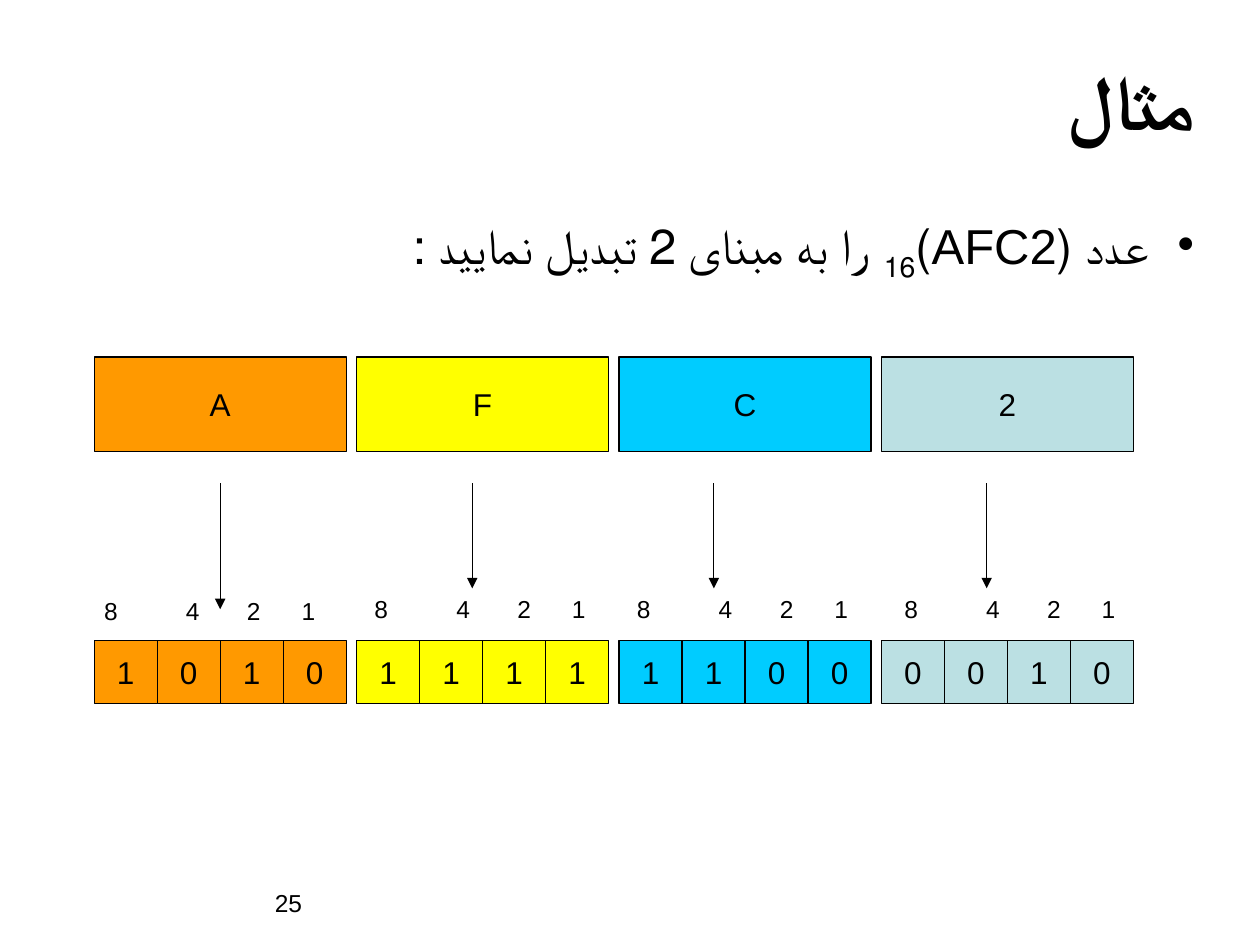
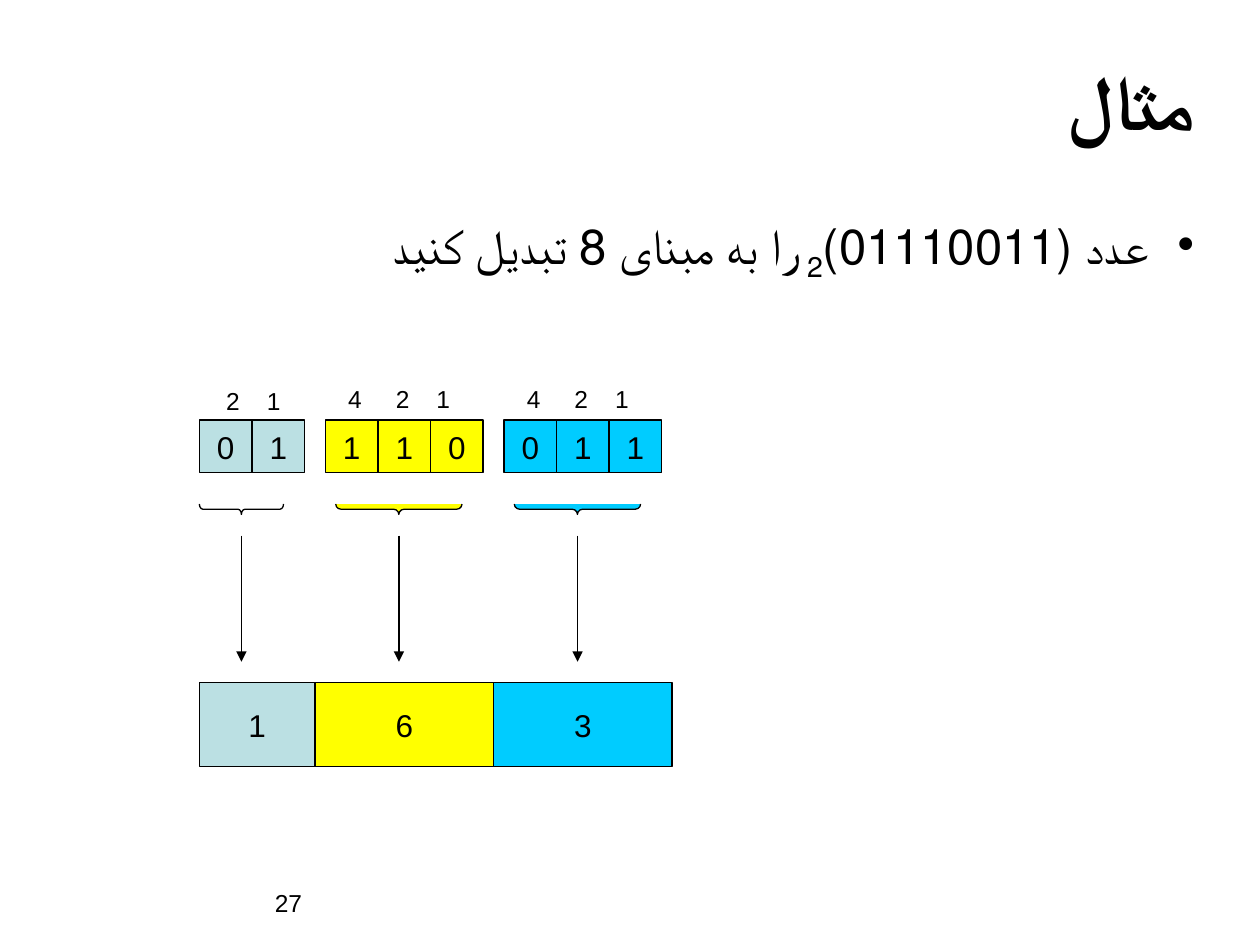
from dataclasses import dataclass

from lxml import etree
from pptx import Presentation
from pptx.dml.color import RGBColor
from pptx.enum.shapes import MSO_CONNECTOR, MSO_SHAPE
from pptx.enum.text import MSO_ANCHOR, PP_ALIGN
from pptx.oxml.ns import qn
from pptx.util import Cm, Pt

RECTANGLE, BRACE = MSO_SHAPE.RECTANGLE, MSO_SHAPE.LEFT_BRACE
STRAIGHT = MSO_CONNECTOR.STRAIGHT
TOP, MIDDLE = MSO_ANCHOR.TOP, MSO_ANCHOR.MIDDLE
LEFT, CENTER, RIGHT = PP_ALIGN.LEFT, PP_ALIGN.CENTER, PP_ALIGN.RIGHT


@dataclass(frozen=True)
class Theme:
    font: str = "Arial"
    ink: RGBColor = RGBColor(0, 0, 0)
    orange: RGBColor = RGBColor(0xFF, 0x99, 0x00)
    yellow: RGBColor = RGBColor(0xFF, 0xFF, 0x00)
    cyan: RGBColor = RGBColor(0x00, 0xCC, 0xFF)
    pale: RGBColor = RGBColor(0xBB, 0xE0, 0xE3)
    title: int = 44
    body: int = 28
    digit: int = 18
    small: int = 14
    line: float = 0.75


THEME = Theme()


@dataclass(frozen=True)
class Box:
    """A rectangle in centimetres."""
    left: float
    top: float
    width: float
    height: float

    def inner(self, left, top, width, height):
        """A box placed relative to this one."""
        return Box(self.left + left, self.top + top, width, height)

    def emu(self):
        return Cm(self.left), Cm(self.top), Cm(self.width), Cm(self.height)


@dataclass(frozen=True)
class HexDigit:
    symbol: str
    bits: str
    fill: RGBColor
    arrow_left: float
    arrow_length: float
    label_left: float
    label_drop: float = 0


@dataclass(frozen=True)
class OctalDigit:
    symbol: str
    bits: str
    fill: RGBColor
    brace_fill: RGBColor | None
    brace_left: float
    result_width: float
    label_left: float
    label_drop: float = 0


HEX_DIGITS = (
    HexDigit("A", "1010", THEME.orange, 2.54, 2.54, -0.05, 0.03),
    HexDigit("F", "1111", THEME.yellow, 2.33, 2.12, 0.11),
    HexDigit("C", "1100", THEME.cyan, 1.91, 2.12, 0.11),
    HexDigit("2", "0010", THEME.pale, 2.12, 2.12, 0.21),
)
OCTAL_DIGITS = (
    OctalDigit("1", "01", THEME.pale, None, 0, 2.33, 0.29, 0.03),
    OctalDigit("6", "110", THEME.yellow, THEME.yellow, 0.21, 3.6, 0.21),
    OctalDigit("3", "011", THEME.cyan, THEME.cyan, 0.21, 3.6, 0.21),
)
WEIGHT_STOPS = {"8421": (1.65, 2.88, 3.98), "421": (0.96, 1.78), "21": (0.82,)}


def style_paragraph(para, size, align, bold=False):
    para.alignment = align
    para.font.size = Pt(size)
    para.font.bold = bold
    para.font.name = THEME.font
    para.font.color.rgb = THEME.ink


def add_text(page, box, text, size, align=LEFT, anchor=TOP, bold=False):
    frame = page.shapes.add_textbox(*box.emu()).text_frame
    frame.word_wrap = True
    frame.vertical_anchor = anchor
    para = frame.paragraphs[0]
    para.text = text
    style_paragraph(para, size, align, bold)
    return para


def outline(shape, fill):
    shape.shadow.inherit = False
    if fill is None:
        shape.fill.background()
    else:
        shape.fill.solid()
        shape.fill.fore_color.rgb = fill
    shape.line.color.rgb = THEME.ink
    shape.line.width = Pt(THEME.line)


def add_cell(page, box, text, fill):
    cell = page.shapes.add_shape(RECTANGLE, *box.emu())
    outline(cell, fill)
    frame = cell.text_frame
    frame.word_wrap = False
    frame.vertical_anchor = MIDDLE
    frame.text = text
    style_paragraph(frame.paragraphs[0], THEME.digit, CENTER)


def add_bits(page, box, bits, fill):
    side = box.height
    for index, bit in enumerate(bits):
        add_cell(page, box.inner(index * side, 0, side, side), bit, fill)


def add_weights(page, box, weights):
    """Place values such as 8 4 2 1, spread by tab stops."""
    para = add_text(page, box, "\t".join(weights), THEME.small)
    stops = etree.Element(qn("a:tabLst"))
    for stop in WEIGHT_STOPS[weights]:
        etree.SubElement(stops, qn("a:tab"), pos=str(Cm(stop)), algn="l")
    para._p.pPr.find(qn("a:defRPr")).addprevious(stops)


def add_down_arrow(page, left, top, length):
    arrow = page.shapes.add_connector(
        STRAIGHT, Cm(left), Cm(top), Cm(left), Cm(top + length))
    arrow.line.color.rgb = THEME.ink
    arrow.line.width = Pt(THEME.line)
    etree.SubElement(arrow.line._get_or_add_ln(), qn("a:tailEnd"), type="triangle")
    etree.SubElement(arrow._element.spPr, qn("a:effectLst"))


def add_under_brace(page, box, fill):
    """A left brace turned to point down, covering the box."""
    upright = box.inner((box.width - box.height) / 2, (box.height - box.width) / 2,
                        box.height, box.width)
    brace = page.shapes.add_shape(BRACE, *upright.emu())
    brace.rotation = 270
    brace.adjustments[0] = box.width / 24 / box.height
    outline(brace, fill)


def add_title(page, box):
    para = add_text(page, box, "مثال", THEME.title, RIGHT, MIDDLE, bold=True)
    para._p.pPr.set("rtl", "1")


def add_question(page, box, before, base, after):
    """A right-to-left bullet with the number base as a subscript."""
    para = add_text(page, box, before, THEME.body, RIGHT)
    subscript = para.add_run()
    subscript.text = base
    subscript.font._element.set("baseline", "-25000")
    para.add_run().text = after
    para.space_before = Pt(7)
    props = para._p.pPr
    indent = Cm(0.95)
    for name, value in (("marL", indent), ("indent", -indent), ("rtl", 1)):
        props.set(name, str(value))
    bullet = etree.Element(qn("a:buChar"), char="•")
    props.find(qn("a:defRPr")).addprevious(bullet)


def add_page(deck, number, question):
    page = deck.slides.add_slide(deck.slide_layouts[6])
    add_text(page, Box(5.29, 17.78, 3.81, 1.27), number, THEME.small)
    add_title(page, Box(4.87, 0.85, 19.47, 2.33))
    add_question(page, Box(4.87, 4.23, 19.47, 13.55), *question)
    return page


def add_hex_diagram(page, box):
    side, gap = 1.27, 0.21
    for index, digit in enumerate(HEX_DIGITS):
        width = side * len(digit.bits)
        group = box.inner(index * (width + gap), 0, width, box.height)
        add_cell(page, group.inner(0, 0, width, 1.9), digit.symbol, digit.fill)
        add_down_arrow(page, group.left + digit.arrow_left, group.top + 2.54,
                       digit.arrow_length)
        add_weights(page, group.inner(digit.label_left, 4.66 + digit.label_drop,
                                      5.2, 0.86), "8421")
        add_bits(page, group.inner(0, box.height - side, width, side),
                 digit.bits, digit.fill)


def add_octal_diagram(page, box):
    side, gap = 1.06, 0.42
    bits_left = result_left = 0
    for digit in OCTAL_DIGITS:
        count = len(digit.bits)
        width = side * count
        group = box.inner(bits_left, 0, width, box.height)
        add_weights(page, group.inner(digit.label_left, digit.label_drop, width, 0.86),
                    "421"[-count:])
        add_bits(page, group.inner(0, 0.85, width, side), digit.bits, digit.fill)
        brace = group.inner(digit.brace_left, 2.54, 0.8 * width, 0.21)
        add_under_brace(page, brace, digit.brace_fill)
        add_down_arrow(page, brace.left + brace.width / 2, box.top + 3.18, 2.54)
        add_cell(page, box.inner(result_left, 6.14, digit.result_width, 1.69),
                 digit.symbol, digit.fill)
        bits_left += width + gap
        result_left += digit.result_width


def main():
    deck = Presentation()
    deck.slide_width, deck.slide_height = Cm(25.4), Cm(19.05)
    hex_page = add_page(deck, "25", ("عدد (AFC2)", "16 ", " را به مبنای 2 تبدیل نمایید :"))
    add_hex_diagram(hex_page, Box(1.9, 7.2, 21.17, 6.98))
    octal_page = add_page(deck, "27", ("عدد (01110011)", "2", " را به مبنای 8 تبدیل کنید"))
    add_octal_diagram(octal_page, Box(4.02, 7.62, 9.53, 7.83))
    deck.save("out.pptx")


if __name__ == "__main__":
    main()
